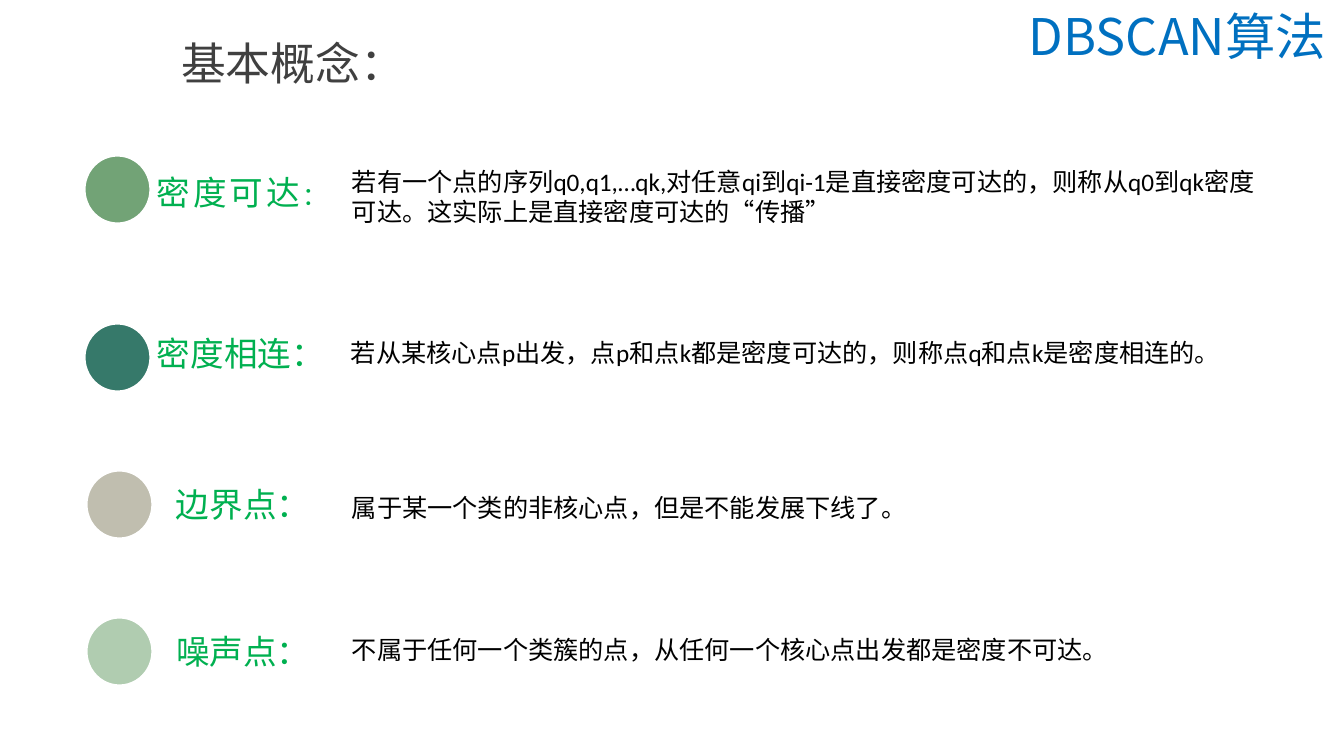
from pptx import Presentation
from pptx.dml.color import RGBColor
from pptx.enum.shapes import MSO_SHAPE
from pptx.enum.text import MSO_ANCHOR, MSO_AUTO_SIZE, PP_ALIGN
from pptx.oxml.ns import qn
from pptx.util import Emu, Pt

COLORS = {
    "heading": "404040", "algorithm": "0070C0", "label": "00B050",
    "body": "000000", "outline": "FFFFFF",
    "reachable": "72A376", "connected": "36796A",
    "border": "C0BEAF", "noise": "B0CCB0",
}
CJK_FONT = "Noto Sans CJK SC"
BODY_FONT = "Calibri"
HEADING = "基本概念："
ALGORITHM = "DBSCAN算法"
CONCEPTS = [
    {"color": "reachable", "label": ["密度可达", "："], "circle": (84, 155),
     "label_box": (157, 164, 156, 42), "body_box": (342, 161, 939, 72),
     "body": "若有一个点的序列q0,q1,…qk,对任意qi到qi-1是直接密度可达的，则称从q0到qk密度可达。这实际上是直接密度可达的“传播”"},
    {"color": "connected", "label": ["密度相连："], "circle": (84, 323),
     "label_box": (157, 333, 180, 40), "body_box": (341, 332, 939, 40),
     "body": "若从某核心点p出发，点p和点k都是密度可达的，则称点q和点k是密度相连的。"},
    {"color": "border", "label": ["边界点："], "circle": (86, 470),
     "label_box": (176, 484, 155, 40), "body_box": (342, 487, 638, 40),
     "body": "属于某一个类的非核心点，但是不能发展下线了。"},
    {"color": "noise", "label": ["噪声点："], "circle": (86, 617),
     "label_box": (176, 631, 141, 40), "body_box": (342, 629, 778, 40),
     "body": "不属于任何一个类簇的点，从任何一个核心点出发都是密度不可达。"},
]


def px(length):
    return Emu(round(length * 914400 / 100.8))


def color(name):
    return RGBColor.from_string(COLORS[name])


def format_run(run, size, color_name, font_name):
    run.font.size = Pt(size)
    run.font.name = font_name
    run.font.color.rgb = color(color_name)
    properties = run.font._element
    east_asian = properties.makeelement(qn("a:ea"), {"typeface": CJK_FONT})
    properties.find(qn("a:latin")).addnext(east_asian)


def fill_text(shape, text, size, color_name, font_name=CJK_FONT):
    frame = shape.text_frame
    frame.text = text
    frame.word_wrap = True
    frame.auto_size = MSO_AUTO_SIZE.NONE
    frame.vertical_anchor = MSO_ANCHOR.TOP
    paragraph = frame.paragraphs[0]
    paragraph.alignment = PP_ALIGN.LEFT
    format_run(paragraph.runs[0], size, color_name, font_name)
    return frame


def add_text(slide, box, *text_style):
    shape = slide.shapes.add_textbox(*map(px, box))
    return fill_text(shape, *text_style)


def add_circle(slide, position, color_name):
    circle = slide.shapes.add_shape(
        MSO_SHAPE.OVAL, *map(px, (*position, 67, 69)))
    circle.shadow.inherit = False
    circle.fill.solid()
    circle.fill.fore_color.rgb = color(color_name)
    circle.line.color.rgb = color("outline")
    circle.line.width = Pt(2.25)


def add_label(slide, box, parts):
    frame = add_text(slide, box, parts[0], 24, "label")
    frame.margin_left = frame.margin_right = 0
    frame.margin_top = frame.margin_bottom = 0
    paragraph = frame.paragraphs[0]
    for part in parts[1:]:
        run = paragraph.add_run()
        run.text = part
        format_run(run, 18, "label", CJK_FONT)
    if len(parts) > 1:
        paragraph.line_spacing = 1.2
        for run in paragraph.runs:
            run.font._element.set("spc", "200")


def main():
    presentation = Presentation()
    presentation.slide_width = px(1344)
    presentation.slide_height = px(756)
    slide = presentation.slides.add_slide(presentation.slide_layouts[5])

    title = slide.shapes.title
    title.left, title.top, title.width, title.height = map(px, (171, 31, 260, 65))
    title_frame = fill_text(title, HEADING, 32, "heading")
    title_frame.paragraphs[0].line_spacing = 1.0
    add_text(slide, (1019, 0, 325, 72), ALGORITHM, 36, "algorithm")

    for concept in CONCEPTS:
        add_circle(slide, concept["circle"], concept["color"])
        add_label(slide, concept["label_box"], concept["label"])
        add_text(slide, concept["body_box"], concept["body"], 18, "body", BODY_FONT)

    presentation.save("out.pptx")


if __name__ == "__main__":
    main()
